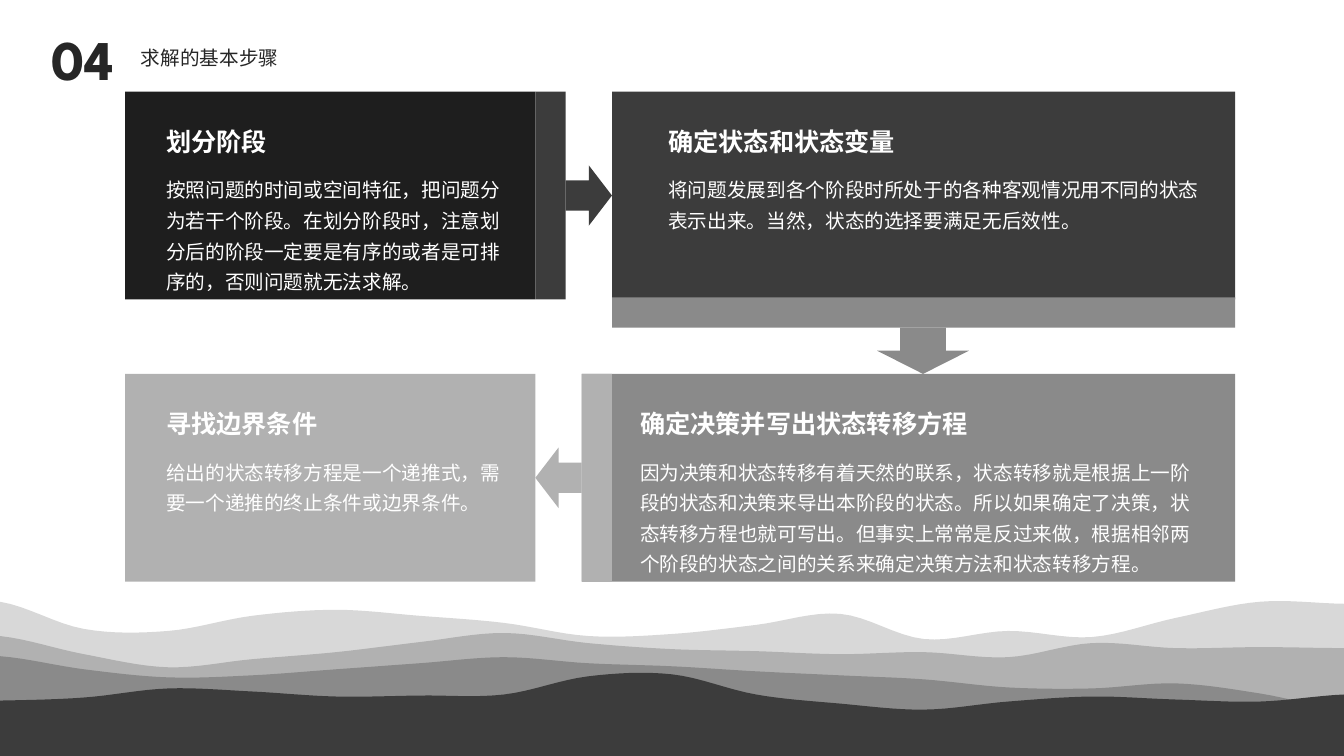
"""Build the slide with four steps above a mountain range."""
from lxml.etree import SubElement
from pptx import Presentation
from pptx.dml.color import RGBColor
from pptx.enum.shapes import MSO_SHAPE as Kind
from pptx.enum.text import MSO_ANCHOR as Anchor, MSO_AUTO_SIZE as Fit
from pptx.oxml.ns import qn
from pptx.util import Pt

PX = 9144
WIDE, HIGH = 1333, 750
HEAD, BODY = "League Spartan", "Noto Sans CJK SC"
BLACK, DARK, MID, PALE, MIST = "1E1E1E", "3C3C3C", "8A8A8A", "B1B1B1", "D8D8D8"
WHITE, INK = "FFFFFF", "262626"
TALL, BAND, GAP = 206, 30, 46
LEFT, EDGE, RIGHT = 124, 531, 1225
UPPER, LOWER = 91, 371

RANGES = {
    MIST: [597, 624, 626, 611, 605, 611, 618, 631, 629, 620, 609, 634, 626, 632,
           613, 597, 599],
    PALE: [631, 649, 662, 654, 647, 637, 628, 638, 644, 646, 649, 647, 652, 638,
           643, 642, 643],
    MID: [651, 664, 672, 670, 664, 658, 652, 658, 661, 666, 670, 674, 682, 683,
          678, 688, 704],
    DARK: [695, 692, 683, 686, 691, 690, 689, 671, 669, 689, 698, 704, 696, 691,
           694, 696, 689],
}


def tint(color, code):
    """Set a colour format from a hex string."""
    color.rgb = RGBColor.from_string(code)


def paint(shape, code):
    """Give a shape a flat fill without line or shadow."""
    shape.shadow.inherit = False
    shape.fill.solid()
    tint(shape.fill.fore_color, code)
    shape.line.fill.background()


def block(slide, kind, box, code):
    """Add a filled preset shape."""
    paint(slide.shapes.add_shape(kind, *[n * PX for n in box]), code)


def write(slide, text, box, size=14, font=BODY, code=WHITE, bold=False,
          lead=1.3, before=0, grow=True, anchor=Anchor.TOP):
    """Add a text box with one paragraph."""
    frame = slide.shapes.add_textbox(*[n * PX for n in box]).text_frame
    frame.word_wrap = True
    frame.auto_size = Fit.SHAPE_TO_FIT_TEXT if grow else Fit.NONE
    frame.vertical_anchor = anchor
    para = frame.paragraphs[0]
    para.line_spacing = lead
    para.space_before = Pt(before)
    run = para.add_run()
    run.text = text
    run.font.size, run.font.name, run.font.bold = Pt(size), font, bold
    tint(run.font.color, code)
    SubElement(run.font._element, qn("a:ea"), typeface=BODY)


def smooth(tops, steps=8):
    """Return points on a smooth curve through evenly spaced heights."""
    ends = [tops[0], *tops, tops[-1]]
    slopes = [(b - a) / 2 for a, b in zip(ends, ends[2:])]
    pitch = WIDE * PX / (len(tops) - 1)
    curve = [(0, tops[0] * PX)]
    for spot, (y, v, m, n) in enumerate(zip(tops, tops[1:], slopes, slopes[1:])):
        for step in range(1, steps + 1):
            t = step / steps
            ease = t * t * (3 - 2 * t)
            bend = t * (1 - t) * (m * (1 - t) - n * t)
            high = y + (v - y) * ease + bend
            curve.append((round((spot + t) * pitch), round(high * PX)))
    return curve


def ridge(slide, code, tops):
    """Add a mountain layer that reaches the bottom of the slide."""
    points = smooth(tops) + [(WIDE * PX, HIGH * PX), (0, HIGH * PX)]
    form = slide.shapes.build_freeform(*points[0])
    form.add_line_segments(points[1:], close=True)
    paint(form.convert_to_shape(), code)


def card(slide, code, left, top, right, inset, span, title, body, lines):
    """Add a step: a panel with its title and text."""
    block(slide, Kind.RECTANGLE, (left, top, right - left, TALL), code)
    start = left + inset
    write(slide, body, (start, top + 74, span, 10 + lines * 61 // 2))
    write(slide, title, (start, top + 20, span, 49), size=18, font=HEAD, bold=True)


def link(slide, code, strip, kind, arrow):
    """Add a strip and the arrow that leads to the next step."""
    block(slide, Kind.RECTANGLE, strip, code)
    block(slide, kind, arrow, code)


def main():
    """Build and save the slide."""
    deck = Presentation()
    deck.slide_width, deck.slide_height = WIDE * PX, HIGH * PX
    slide = deck.slides.add_slide(deck.slide_layouts[6])
    for code, tops in RANGES.items():
        ridge(slide, code, tops)
    label = dict(font=HEAD, code=INK, lead=0.9, before=10, grow=False)
    write(slide, "04", (41, 27, 88, 64), size=40, bold=True, **label)
    write(slide, "求解的基本步骤", (130, 40, 204, 37), anchor=Anchor.MIDDLE, **label)

    near = EDGE + BAND
    far = near + GAP
    turn = EDGE + GAP
    base = UPPER + TALL - 2
    card(slide, BLACK, LEFT, UPPER, EDGE, 31, 360, "划分阶段",
         "按照问题的时间或空间特征，把问题分为若干个阶段。在划分阶段时，"
         "注意划分后的阶段一定要是有序的或者是可排序的，否则问题就无法求解。", 4)
    link(slide, DARK, (EDGE, UPPER, BAND, TALL),
         Kind.RIGHT_ARROW, (near, UPPER + 73, GAP, 60))
    card(slide, DARK, far, UPPER, RIGHT, 46, 547, "确定状态和状态变量",
         "将问题发展到各个阶段时所处于的各种客观情况用不同的状态表示出来。"
         "当然，状态的选择要满足无后效性。", 2)
    link(slide, MID, (far, base, RIGHT - far, BAND),
         Kind.DOWN_ARROW, (870, base + BAND, 91, GAP))
    card(slide, MID, turn, LOWER, RIGHT, 48, 574, "确定决策并写出状态转移方程",
         "因为决策和状态转移有着天然的联系，状态转移就是根据上一阶段的状态和决策"
         "来导出本阶段的状态。所以如果确定了决策，状态转移方程也就可写出。"
         "但事实上常常是反过来做，根据相邻两个阶段的状态之间的关系来确定决策方法"
         "和状态转移方程。", 4)
    link(slide, PALE, (turn, LOWER, BAND, TALL),
         Kind.LEFT_ARROW, (EDGE, LOWER + 73, GAP, 60))
    card(slide, PALE, LEFT, LOWER, EDGE, 31, 360, "寻找边界条件",
         "给出的状态转移方程是一个递推式，需要一个递推的终止条件或边界条件。", 2)
    deck.save("out.pptx")


if __name__ == "__main__":
    main()
